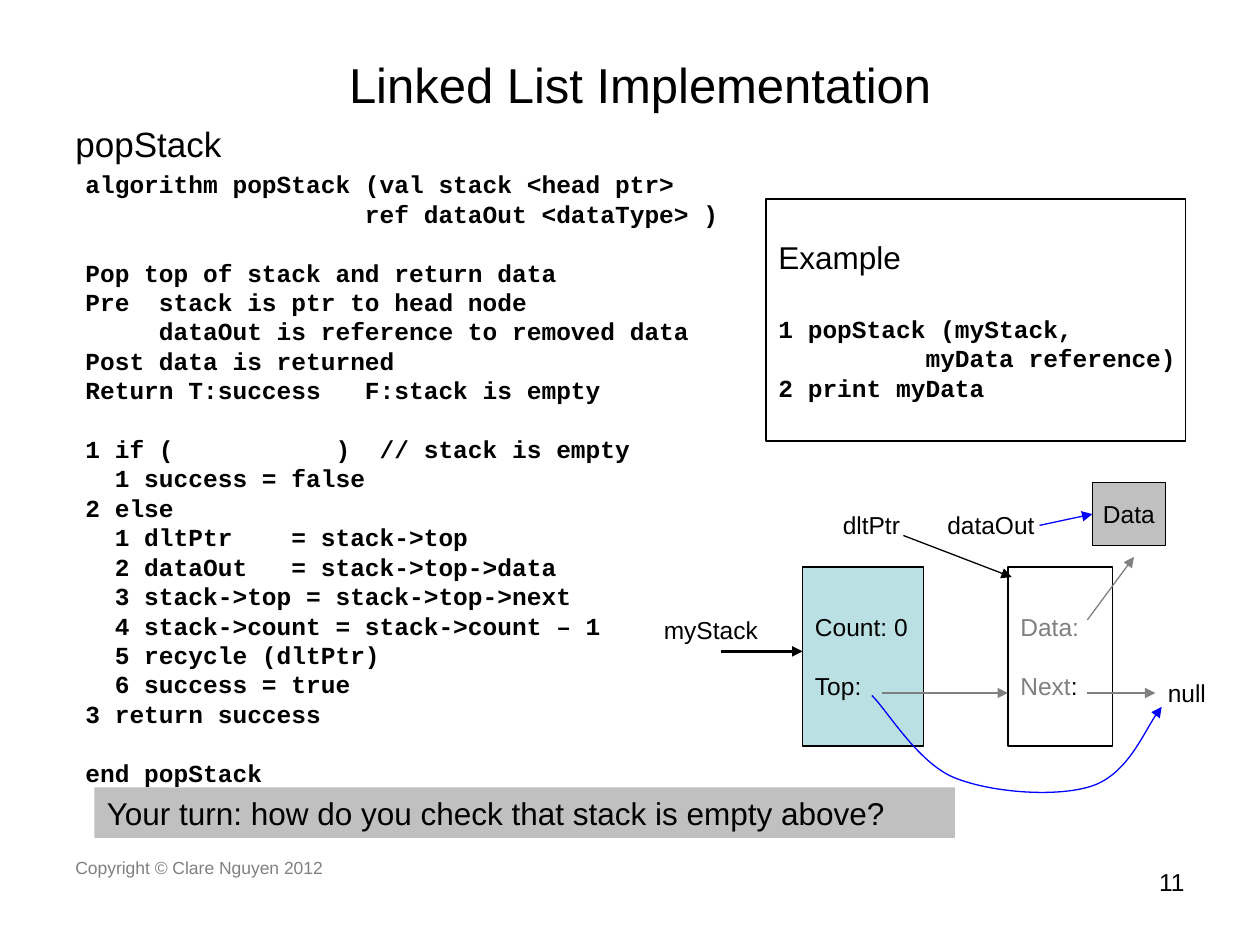
from dataclasses import dataclass

import pptx
import pptx.dml.color
import pptx.enum.shapes
import pptx.enum.text
import pptx.oxml.ns
import pptx.util

Inches, Pt = pptx.util.Inches, pptx.util.Pt
PP_ALIGN, ANCHOR = pptx.enum.text.PP_ALIGN, pptx.enum.text.MSO_ANCHOR
qn = pptx.oxml.ns.qn


@dataclass(frozen=True)
class Theme:
    black: str = "000000"
    gray: str = "808080"
    silver: str = "C0C0C0"
    teal: str = "BBE0E3"
    blue: str = "0000FF"
    sans: str = "Arial"
    mono: str = "Courier New"
    title: float = 28
    heading: float = 20
    large: float = 18
    normal: float = 14
    small: float = 10
    leading: float = 1.2
    thin: float = 0.75
    thick: float = 1.5


@dataclass(frozen=True)
class Box:
    left: float
    top: float
    width: float
    height: float

    def inside(self, left, top, width, height):
        return Box(self.left + left, self.top + top, width, height)

    def point(self, x, y):
        return Inches(self.left + x), Inches(self.top + y)

    def lengths(self):
        return [Inches(n) for n in (self.left, self.top, self.width, self.height)]


THEME = Theme()

CODE = """algorithm popStack (val stack <head ptr>
                   ref dataOut <dataType> )

Pop top of stack and return data
Pre  stack is ptr to head node
     dataOut is reference to removed data
Post data is returned
Return T:success   F:stack is empty

1 if (           )  // stack is empty
  1 success = false
2 else
  1 dltPtr    = stack->top
  2 dataOut   = stack->top->data
  3 stack->top = stack->top->next
  4 stack->count = stack->count – 1
  5 recycle (dltPtr)
  6 success = true
3 return success

end popStack"""

EXAMPLE = """1 popStack (myStack,
          myData reference)
2 print myData"""


def rgb(color):
    return pptx.dml.color.RGBColor.from_string(color)


def style(size=THEME.normal, color=THEME.black, name=THEME.sans, bold=False):
    return {"size": Pt(size), "name": name, "bold": bold, "color": color}


CODE_STYLE = style(name=THEME.mono, bold=True)


def format_font(font, values):
    for key, value in values.items():
        if key == "color":
            font.color.rgb = rgb(value)
        else:
            setattr(font, key, value)


def write_text(shape, blocks, align=PP_ALIGN.LEFT, anchor=ANCHOR.TOP, wrap=True, gap=0):
    """Fill a shape with blocks of lines; a line is a list of (text, style) spans."""
    frame = shape.text_frame
    settings = {"word_wrap": wrap, "vertical_anchor": anchor,
                "margin_left": Inches(0.1), "margin_right": Inches(0.1),
                "margin_top": Inches(0.05), "margin_bottom": Inches(0.05)}
    for key, value in settings.items():
        setattr(frame, key, value)
    para = None
    for block in blocks:
        for number, line in enumerate(block):
            first = para is None
            para = frame.paragraphs[0] if first else frame.add_paragraph()
            para.alignment = align
            para.line_spacing = Pt(line[0][1]["size"].pt * THEME.leading)
            para.space_before = Pt(0 if first or number else gap * THEME.leading)
            for text, values in line:
                span = para.add_run()
                span.text = text
                format_font(span.font, values)


def plain_lines(text, values):
    return [[(line, values)] for line in text.split("\n")]


def add_label(page, box, text, values, **layout):
    label = page.shapes.add_textbox(*box.lengths())
    write_text(label, [plain_lines(text, values)], **layout)


def add_panel(page, box, blocks, fill=None, line=THEME.black, **layout):
    panel = page.shapes.add_shape(pptx.enum.shapes.MSO_SHAPE.RECTANGLE, *box.lengths())
    panel.shadow.inherit = False
    for part, color in ((panel.fill, fill), (panel.line.fill, line)):
        if color:
            part.solid()
            part.fore_color.rgb = rgb(color)
        else:
            part.background()
    if line:
        panel.line.width = Pt(THEME.thin)
    write_text(panel, blocks, **layout)
    return panel


def draw_arrow_line(shape, color, width):
    shape.line.color.rgb = rgb(color)
    shape.line.width = Pt(width)
    line = shape._element.spPr.find(qn("a:ln"))
    line.append(line.makeelement(qn("a:tailEnd"), {"type": "triangle"}))


def add_arrow(page, start, end, color, width=THEME.thin):
    arrow = page.shapes.add_connector(pptx.enum.shapes.MSO_CONNECTOR.STRAIGHT, *start, *end)
    draw_arrow_line(arrow, color, width)
    properties = arrow._element.spPr
    properties.append(properties.makeelement(qn("a:effectLst"), {}))
    return arrow


def add_curve(page, start, segments, color):
    """Draw cubic segments, each given as two control points and an end."""
    builder = page.shapes.build_freeform(*start)
    builder.add_line_segments([segment[-1] for segment in segments], close=False)
    curve = builder.convert_to_shape()
    curve.shadow.inherit = False
    curve.fill.background()
    draw_arrow_line(curve, color, THEME.thin)
    outline = next(curve._element.iter(qn("a:path")))
    for step, segment in zip(outline.findall(qn("a:lnTo")), segments):
        cubic = outline.makeelement(qn("a:cubicBezTo"), {})
        for x, y in segment:
            place = {"x": str(x - curve.left), "y": str(y - curve.top)}
            cubic.append(cubic.makeelement(qn("a:pt"), place))
        outline.replace(step, cubic)


def add_title(page, box, text):
    title = page.shapes.title
    title.left, title.top, title.width, title.height = box.lengths()
    write_text(title, [plain_lines(text, style(THEME.title))],
               align=PP_ALIGN.CENTER, anchor=ANCHOR.MIDDLE)


def add_code(page, box):
    blocks = [plain_lines(block, CODE_STYLE) for block in CODE.split("\n\n")]
    write_text(page.shapes.add_textbox(*box.lengths()), blocks,
               anchor=ANCHOR.MIDDLE, gap=THEME.normal)


def add_example(page, box):
    blocks = [plain_lines("Example", style(THEME.large)), plain_lines(EXAMPLE, CODE_STYLE)]
    add_panel(page, box, blocks, anchor=ANCHOR.MIDDLE, wrap=False, gap=THEME.large)


def add_diagram(page, box):
    normal, faded = style(), style(color=THEME.gray)
    node = {"anchor": ANCHOR.MIDDLE, "wrap": False, "gap": THEME.normal}
    add_panel(page, box.inside(1.2, 0.67, 0.96, 1.42),
              [plain_lines("Count: 0", normal), plain_lines("Top:", normal)],
              fill=THEME.teal, **node)
    add_panel(page, box.inside(2.83, 0.67, 0.83, 1.42),
              [plain_lines("Data:", faded), [[("Next", faded), (":", normal)]]], **node)
    data = add_panel(page, box.inside(3.5, 0, 0.58, 0.5), [plain_lines("Data", normal)],
                     fill=THEME.silver, align=PP_ALIGN.CENTER, **node)

    for text, left, top, width in (("myStack", 0, 1, 1.07), ("dltPtr", 1.42, 0.17, 0.75),
                                   ("dataOut", 2.25, 0.17, 1), ("null", 4, 1.5, 0.64)):
        add_label(page, box.inside(left, top, width, 0.34), text, normal)

    add_arrow(page, box.point(0.55, 1.34), box.point(1.2, 1.34), THEME.black, THEME.thick)
    add_arrow(page, box.point(2, 0.42), box.point(2.86, 0.75), THEME.black)
    for start, end in (((3.46, 1.09), (3.83, 0.59)), ((3.46, 1.67), (4, 1.67)),
                       ((1.83, 1.67), (2.83, 1.67))):
        add_arrow(page, box.point(*start), box.point(*end), THEME.gray)
    data_arrow = add_arrow(page, box.point(3.08, 0.34), box.point(3.5, 0.25), THEME.blue)
    data_arrow.end_connect(data, 1)

    segments = [((1.86, 1.79), (2.11, 2.22), (2.4, 2.34)),
                ((2.69, 2.46), (3.21, 2.5), (3.49, 2.41)),
                ((3.77, 2.32), (3.94, 1.91), (4.05, 1.78))]
    add_curve(page, box.point(1.75, 1.69),
              [[box.point(*point) for point in segment] for segment in segments], THEME.blue)


def add_footer(page, box):
    add_label(page, box.inside(0, 0, 3.17, 0.52), "Copyright © Clare Nguyen 2012",
              style(THEME.small, THEME.gray))
    add_label(page, box.inside(box.width - 2.33, 0.08, 2.33, 0.52), "11", style(),
              align=PP_ALIGN.RIGHT)


def main():
    deck = pptx.Presentation()
    deck.slide_width, deck.slide_height = Inches(10), Inches(7.5)
    page = deck.slides.add_slide(deck.slide_layouts[5])
    add_title(page, Box(0.58, 0.33, 9, 0.67), "Linked List Implementation")
    add_label(page, Box(0.5, 0.92, 9.17, 0.45), "popStack", style(THEME.heading))
    add_code(page, Box(0.58, 1.29, 5.33, 5.01))
    add_example(page, Box(6.08, 1.58, 3.33, 1.92))
    add_diagram(page, Box(5.17, 3.83, 4.64, 2.5))
    question = "Your turn: how do you check that stack is empty above?"
    add_panel(page, Box(0.75, 6.25, 6.83, 0.4), [plain_lines(question, style(THEME.large))],
              fill=THEME.silver, line=None)
    add_footer(page, Box(0.5, 6.75, 9, 0.6))
    deck.save("out.pptx")


if __name__ == "__main__":
    main()
